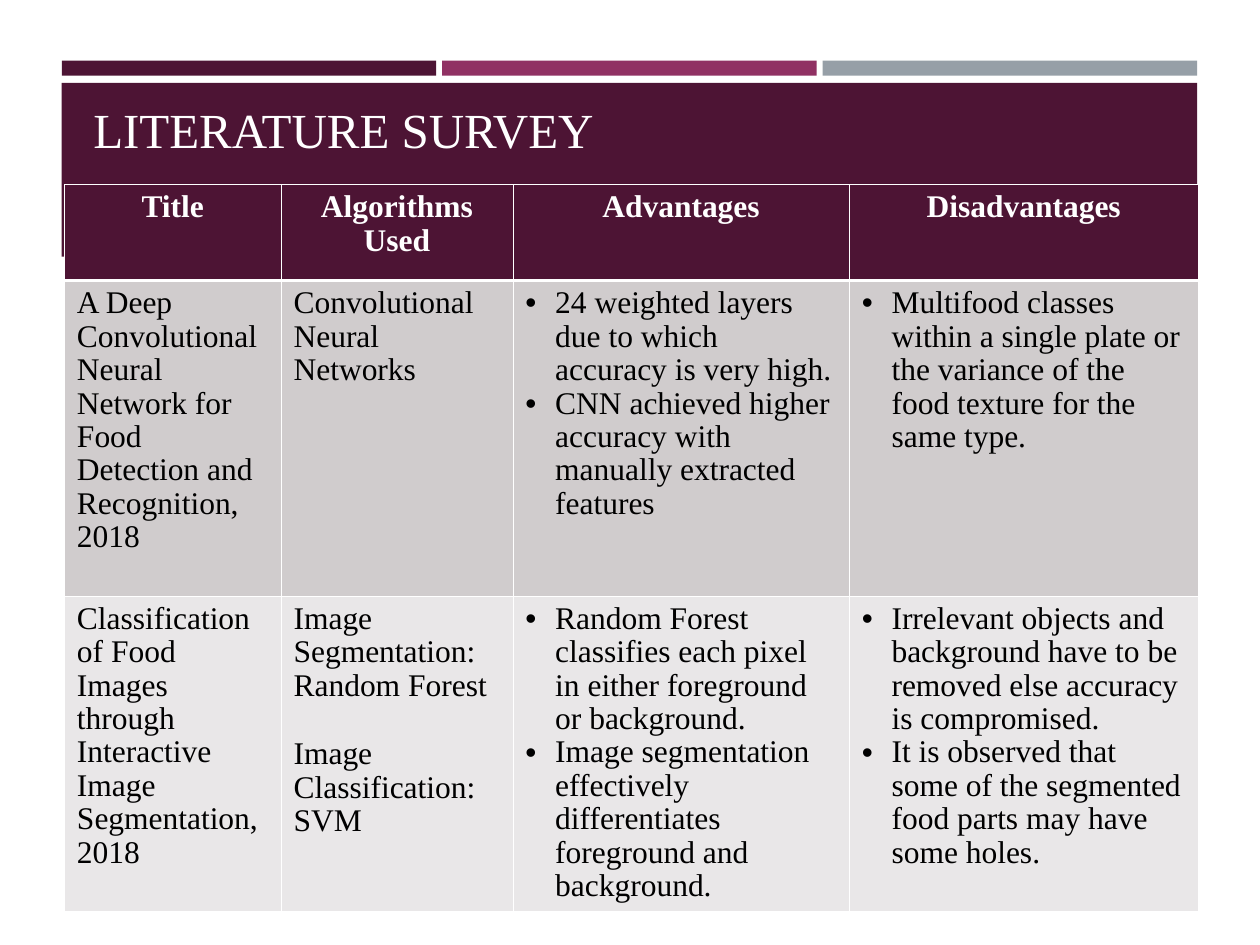
from lxml.etree import SubElement
from pptx import Presentation
from pptx.dml.color import RGBColor
from pptx.enum.shapes import MSO_SHAPE
from pptx.enum.text import MSO_ANCHOR, PP_ALIGN
from pptx.oxml import parse_xml
from pptx.oxml.ns import nsdecls, qn
from pptx.util import Pt

PLUM = RGBColor(0x4D, 0x14, 0x34)
MAGENTA = RGBColor(0x90, 0x31, 0x63)
GREY = RGBColor(0x96, 0x9F, 0xA7)
ROW_DARK = RGBColor(0xD0, 0xCC, 0xCD)
ROW_LIGHT = RGBColor(0xE9, 0xE7, 0xE8)
WHITE = RGBColor(0xFF, 0xFF, 0xFF)
BLACK = RGBColor(0, 0, 0)
FONT = "Times New Roman"

# Content: each cell is a list of paragraphs
TITLE = "LITERATURE SURVEY"
ROWS = [
    [["Title"], ["Algorithms", "Used"], ["Advantages"], ["Disadvantages"]],
    [
        ["A Deep Convolutional Neural Network for Food Detection and Recognition, 2018"],
        ["Convolutional Neural Networks"],
        ["24 weighted layers due to which accuracy is very high.",
         "CNN achieved higher accuracy with manually extracted features"],
        ["Multifood classes within a single plate or the variance of the food texture "
         "for the same type."],
    ],
    [
        ["Classification of Food Images through Interactive Image Segmentation, 2018"],
        ["Image Segmentation:", "Random Forest", "Image Classification:", "SVM"],
        ["Random Forest classifies each pixel in either foreground or background.",
         "Image segmentation effectively differentiates foreground and background."],
        ["Irrelevant objects and background have to be removed else accuracy is compromised.",
         "It is observed that some of the segmented food parts may have some holes."],
    ],
]
GROUP_START = "Image Classification:"
BULLET_COLUMNS = (2, 3)

# Layout, in points
BAR_COLOURS = [PLUM, MAGENTA, GREY]
BAR_LEFT, BAR_TOP, BAR_WIDTH, BAR_HEIGHT, BAR_PITCH = 35.3, 34.7, 214, 8.5, 217.4
BAND = (35.3, 47.3, 648.8, 99.3)
TITLE_BOX = (46.1, 54.7, 629.3, 39.6)
TABLE_LEFT, TABLE_TOP = 36.8, 105.6
COLUMN_WIDTHS = [123.8, 132.5, 192.2, 199.5]
ROW_HEIGHTS = [54.7, 180.3, 180]
ROW_FILLS = [PLUM, ROW_DARK, ROW_LIGHT]
BULLET_INDENT = 17
THIN, THICK = 0.45, 1.47


def apply_format(target, values):
    for name, value in values.items():
        setattr(target, name, value)


def add_block(page, colour, *frame):
    block = page.shapes.add_shape(MSO_SHAPE.RECTANGLE, *map(Pt, frame))
    block.shadow.inherit = False
    block.fill.solid()
    block.fill.fore_color.rgb = colour
    block.line.fill.background()


def format_font(font, colour, size, bold):
    apply_format(font, {"name": FONT, "size": Pt(size), "bold": bold})
    font.color.rgb = colour


def add_bullet(para):
    properties = para._p.get_or_add_pPr()
    properties.set("marL", str(Pt(BULLET_INDENT)))
    properties.set("indent", str(-Pt(BULLET_INDENT)))
    SubElement(properties, qn("a:buFont"), typeface="Arial")
    SubElement(properties, qn("a:buChar"), char="•")


def set_borders(cell, widths):
    properties = cell._tc.get_or_add_tcPr()
    for position, (side, width) in enumerate(widths.items()):
        properties.insert(position, parse_xml(
            f'<a:ln{side} {nsdecls("a")} w="{Pt(width)}"><a:solidFill>'
            f'<a:srgbClr val="{WHITE}"/></a:solidFill></a:ln{side}>'))


def fill_cell(cell, texts, row, column):
    header = row == 0
    cell.fill.solid()
    cell.fill.fore_color.rgb = ROW_FILLS[row]
    set_borders(cell, {"L": THIN, "R": THIN,
                       "T": THICK if row == 1 else THIN,
                       "B": THICK if header else THIN})
    frame = cell.text_frame
    for index, text in enumerate(texts):
        para = frame.add_paragraph() if index else frame.paragraphs[0]
        apply_format(para, {
            "alignment": PP_ALIGN.CENTER if header else PP_ALIGN.LEFT,
            "line_spacing": 0.96,
            "space_before": Pt(20 if text == GROUP_START else 0),
        })
        if column in BULLET_COLUMNS and not header:
            add_bullet(para)
        span = para.add_run()
        span.text = text
        format_font(span.font, WHITE if header else BLACK, 18, header)


def main():
    deck = Presentation()
    deck.slide_width, deck.slide_height = Pt(720), Pt(540)
    page = deck.slides.add_slide(deck.slide_layouts[5])

    # Colour bars and title band
    for index, colour in enumerate(BAR_COLOURS):
        add_block(page, colour, BAR_LEFT + index * BAR_PITCH, BAR_TOP, BAR_WIDTH, BAR_HEIGHT)
    add_block(page, PLUM, *BAND)

    # Title, brought in front of the band
    title = page.shapes.title
    page.shapes._spTree.append(title._element)
    apply_format(title, dict(zip(("left", "top", "width", "height"), map(Pt, TITLE_BOX))))
    apply_format(title.text_frame, {"text": TITLE, "word_wrap": True,
                                    "vertical_anchor": MSO_ANCHOR.BOTTOM})
    para = title.text_frame.paragraphs[0]
    para.alignment = PP_ALIGN.LEFT
    format_font(para.runs[0].font, WHITE, 28, False)

    # Survey table
    table = page.shapes.add_table(
        len(ROWS), len(COLUMN_WIDTHS), Pt(TABLE_LEFT), Pt(TABLE_TOP),
        Pt(sum(COLUMN_WIDTHS)), Pt(sum(ROW_HEIGHTS))).table
    apply_format(table, {"first_row": False, "horz_banding": False})
    for column, width in zip(table.columns, COLUMN_WIDTHS):
        column.width = Pt(width)
    for row, (texts_by_column, height) in enumerate(zip(ROWS, ROW_HEIGHTS)):
        table.rows[row].height = Pt(height)
        for column, texts in enumerate(texts_by_column):
            fill_cell(table.cell(row, column), texts, row, column)

    deck.save("out.pptx")


if __name__ == "__main__":
    main()
